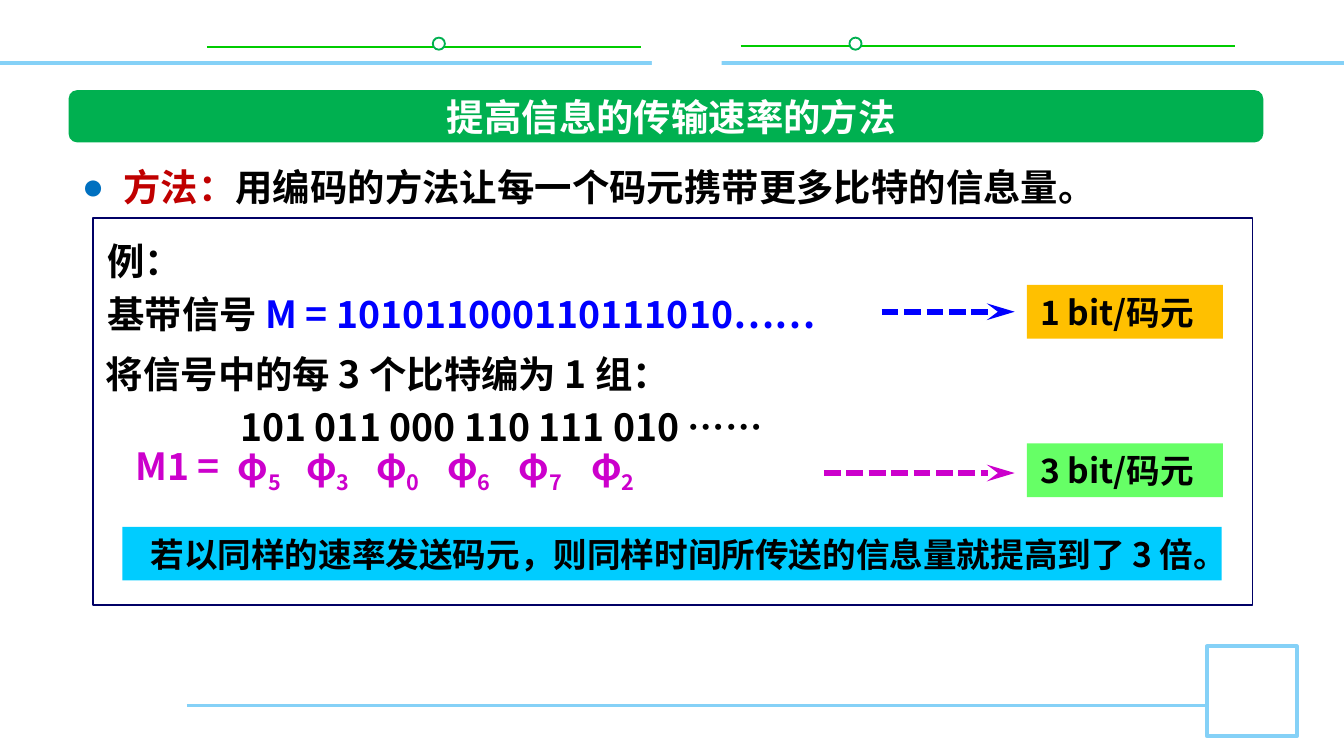
from lxml.etree import SubElement
from pptx import Presentation
from pptx.dml.color import RGBColor
from pptx.enum.dml import MSO_LINE
from pptx.enum.shapes import MSO_CONNECTOR, MSO_SHAPE
from pptx.enum.text import MSO_ANCHOR, PP_ALIGN
from pptx.oxml.ns import qn
from pptx.util import Inches, Pt

FONT = "Noto Sans CJK SC"
WHITE = RGBColor(0xFF, 0xFF, 0xFF)
BLACK = RGBColor(0x00, 0x00, 0x00)
GREEN = RGBColor(0x00, 0xB0, 0x50)
BRIGHT_GREEN = RGBColor(0x00, 0xCC, 0x00)
LIGHT_GREEN = RGBColor(0x66, 0xFF, 0x66)
PALE_BLUE = RGBColor(0x85, 0xD1, 0xF7)
BULLET_BLUE = RGBColor(0x00, 0x70, 0xC0)
BLUE = RGBColor(0x00, 0x00, 0xFF)
NAVY = RGBColor(0x00, 0x00, 0x66)
CYAN = RGBColor(0x00, 0xCC, 0xFF)
RED = RGBColor(0xC0, 0x00, 0x00)
AMBER = RGBColor(0xFF, 0xC0, 0x00)
MAGENTA = RGBColor(0xCC, 0x00, 0xCC)


def add_run(paragraph, text, size=20, color=BLACK, subscript=False):
    run = paragraph.add_run()
    run.text = text
    run.font.size = Pt(size)
    run.font.bold = True
    run.font.color.rgb = color
    run.font.name = FONT
    properties = run.font._element
    SubElement(properties, qn("a:ea")).set("typeface", FONT)
    if subscript:
        properties.set("baseline", "-25000")


class SlideBuilder:
    def __init__(self, presentation):
        self.slide = presentation.slides.add_slide(presentation.slide_layouts[6])

    def line(self, start, end, color, width, arrow=False):
        connector = self.slide.shapes.add_connector(
            MSO_CONNECTOR.STRAIGHT, *map(Inches, start + end))
        connector.line.color.rgb = color
        connector.line.width = Pt(width)
        if arrow:
            connector.line.dash_style = MSO_LINE.SQUARE_DOT
            tail = SubElement(connector.line._get_or_add_ln(), qn("a:tailEnd"))
            tail.set("type", "stealth")
            tail.set("len", "lg")
        SubElement(connector._element.spPr, qn("a:effectLst"))

    def shape(self, box, fill=None, outline=None, width=1, kind=MSO_SHAPE.RECTANGLE):
        shape = self.slide.shapes.add_shape(kind, *map(Inches, box))
        shape.shadow.inherit = False
        if fill is None:
            shape.fill.background()
        else:
            shape.fill.solid()
            shape.fill.fore_color.rgb = fill
        if outline is None:
            shape.line.fill.background()
        else:
            shape.line.color.rgb = outline
            shape.line.width = Pt(width)
        return shape

    def label(self, box, text, fill, align=PP_ALIGN.LEFT):
        frame = self.shape(box, fill).text_frame
        frame.word_wrap = True
        frame.vertical_anchor = MSO_ANCHOR.TOP
        frame.paragraphs[0].alignment = align
        add_run(frame.paragraphs[0], text, size=18)

    def text(self, box, paragraphs, spacing=None, align=PP_ALIGN.LEFT,
             anchor=MSO_ANCHOR.TOP, tabs=(), bullet=None):
        """Each paragraph is a list of (text, run format) pairs."""
        frame = self.slide.shapes.add_textbox(*map(Inches, box)).text_frame
        frame.word_wrap = True
        frame.vertical_anchor = anchor
        for index, runs in enumerate(paragraphs):
            paragraph = frame.add_paragraph() if index else frame.paragraphs[0]
            paragraph.alignment = align
            if spacing:
                paragraph.line_spacing = Pt(spacing)
            properties = paragraph._p.get_or_add_pPr()
            if bullet:
                properties.set("marL", str(Inches(0.31)))
                properties.set("indent", str(-Inches(0.31)))
                color = SubElement(properties, qn("a:buClr"))
                SubElement(color, qn("a:srgbClr")).set("val", str(bullet))
                SubElement(properties, qn("a:buFont")).set("typeface", "Arial")
                SubElement(properties, qn("a:buChar")).set("char", "●")
            if tabs:
                tab_list = SubElement(properties, qn("a:tabLst"))
                for position in tabs:
                    tab = SubElement(tab_list, qn("a:tab"))
                    tab.set("pos", str(Inches(position)))
                    tab.set("algn", "l")
            for text, style in runs:
                add_run(paragraph, text, **style)


def main():
    # Widescreen slide, 16 to 9
    presentation = Presentation()
    presentation.slide_width = Inches(10)
    presentation.slide_height = Inches(10 * 9 / 16)
    builder = SlideBuilder(presentation)

    # Header and footer decoration
    for left, right, y, dot in ((1.54, 4.77, 0.35, 3.22), (5.51, 9.19, 0.34, 6.32)):
        builder.line((left, y), (right, y), BRIGHT_GREEN, 1)
        builder.shape((dot, 0.28, 0.09, 0.09), WHITE, GREEN, kind=MSO_SHAPE.OVAL)
    builder.line((1.39, 5.25), (8.98, 5.25), PALE_BLUE, 1.5)
    builder.shape((8.98, 4.81, 0.67, 0.67), WHITE, PALE_BLUE, 2)
    builder.line((0, 0.47), (10, 0.47), PALE_BLUE, 2)
    builder.shape((4.85, 0.14, 0.52, 0.51), WHITE)

    # Title
    banner = builder.shape((0.51, 0.67, 8.89, 0.39), GREEN, kind=MSO_SHAPE.ROUNDED_RECTANGLE)
    banner.adjustments[0] = 0.17
    builder.text((1.37, 0.67, 7.25, 0.39), [[("提高信息的传输速率的方法", {"color": WHITE})]],
                 align=PP_ALIGN.CENTER, anchor=MSO_ANCHOR.MIDDLE)

    # Method statement
    builder.text((0.51, 1.05, 8.89, 3.69),
                 [[("方法：", {"color": RED}),
                   ("用编码的方法让每一个码元携带更多比特的信息量。", {})]],
                 spacing=33, bullet=BULLET_BLUE)

    # Example frame
    builder.shape((0.69, 1.62, 8.63, 2.88), outline=NAVY)

    # Baseband signal and its regrouping
    builder.text((0.7, 1.67, 5.78, 0.89),
                 [[("例：", {})],
                  [("基带信号 ", {}), ("M = 101011000110111010……", {"color": BLUE})]],
                 spacing=28)
    builder.text((0.69, 2.51, 6.94, 0.89),
                 [[("将信号中的每 3 个比特编为 1 组：", {})],
                  [("\t101 011 000 110 111 010 ……", {})]],
                 spacing=28, tabs=[1])

    # One phase symbol under each group of three bits
    symbols = [("M1 =", {"color": MAGENTA})]
    for phase in "530672":
        symbols += [("\tφ", {"color": MAGENTA}),
                    (phase, {"color": MAGENTA, "subscript": True})]
    builder.text((0.91, 3.25, 5.36, 0.44), [symbols],
                 tabs=[0.76, 1.27, 1.79, 2.32, 2.85, 3.39])

    # Bits carried by each symbol
    for text, fill, top, start, y, color in (
            ("1 bit/码元", AMBER, 2.12, 6.56, 2.32, BLUE),
            ("3 bit/码元", LIGHT_GREEN, 3.3, 6.13, 3.52, MAGENTA)):
        builder.label((7.64, top, 1.46, 0.4), text, fill)
        builder.line((start, y), (7.55, y), color, 3, arrow=True)

    # Conclusion
    builder.label((0.91, 3.92, 8.18, 0.4),
                  "若以同样的速率发送码元，则同样时间所传送的信息量就提高到了 3 倍。",
                  CYAN, PP_ALIGN.CENTER)

    presentation.save("out.pptx")


if __name__ == "__main__":
    main()
